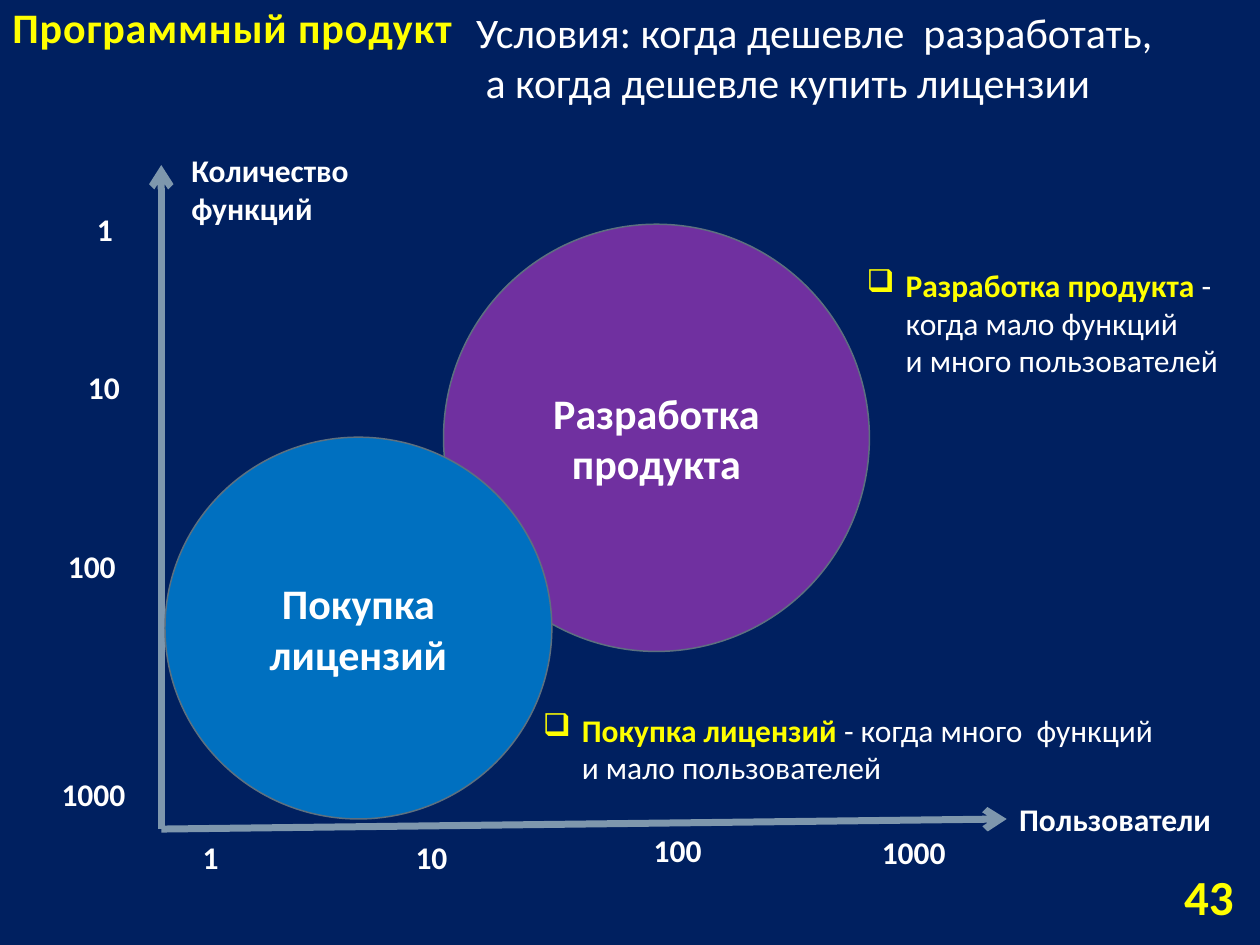
from pptx import Presentation
from pptx.dml.color import RGBColor
from pptx.enum.shapes import MSO_CONNECTOR, MSO_SHAPE
from pptx.enum.text import MSO_ANCHOR, MSO_AUTO_SIZE, PP_ALIGN
from pptx.oxml.ns import qn
from pptx.util import Emu, Pt
from lxml.etree import SubElement

PX = 9144  # EMU, 100 px to the inch
NAVY, WHITE, YELLOW = "002060", "FFFFFF", "FFFF00"
AXIS, OUTLINE, PURPLE, BLUE = "7E97AD", "5D7080", "7030A0", "0070C0"


def px(*lengths):
    return [Emu(length * PX) for length in lengths]


def color(value):
    return RGBColor.from_string(value)


class SlideBuilder:
    """Holds the text style and the slide being drawn."""

    style = {"name": "Calibri", "size": Pt(18), "bold": True}

    def __init__(self, presentation):
        self.slide = presentation.slides.add_slide(presentation.slide_layouts[6])
        background = self.slide.background.fill
        background.solid()
        background.fore_color.rgb = color(NAVY)

    def run(self, paragraph, text, fill=WHITE, spacing=None, **changes):
        """Add text to a paragraph; a vertical tab becomes a line break."""
        for index, line in enumerate(text.split("\v")):
            if index:
                paragraph.add_line_break()
            run = paragraph.add_run()
            run.text = line
            for name, value in {**self.style, **changes}.items():
                setattr(run.font, name, value)
            run.font.color.rgb = color(fill)
            if spacing:
                run.font._element.set("spc", str(spacing))

    def text(self, box, text, anchor=MSO_ANCHOR.TOP, align=PP_ALIGN.LEFT,
             grow=True, **changes):
        """Add a text box; each line of the text is a paragraph."""
        frame = self.slide.shapes.add_textbox(*px(*box)).text_frame
        frame.word_wrap = True
        frame.vertical_anchor = anchor
        if grow:
            frame.auto_size = MSO_AUTO_SIZE.SHAPE_TO_FIT_TEXT
        for index, line in enumerate(text.split("\n")):
            paragraph = frame.add_paragraph() if index else frame.paragraphs[0]
            paragraph.alignment = align
            if line:
                self.run(paragraph, line, **changes)
        return frame

    def bullet(self, box, term, explanation):
        paragraph = self.text(box, "").paragraphs[0]
        properties = paragraph._p.get_or_add_pPr()
        indent = 31 * PX
        properties.set("marL", str(indent))
        properties.set("indent", str(-indent))
        SubElement(properties, qn("a:buChar")).set("char", "❑")
        self.run(paragraph, term, fill=YELLOW)
        self.run(paragraph, explanation, bold=False)

    def circle(self, box, fill, text):
        shape = self.slide.shapes.add_shape(MSO_SHAPE.OVAL, *px(*box))
        shape.shadow.inherit = False
        shape.fill.solid()
        shape.fill.fore_color.rgb = color(fill)
        shape.line.color.rgb = color(OUTLINE)
        shape.line.width = Pt(0.85)
        frame = shape.text_frame
        frame.word_wrap = True
        frame.vertical_anchor = MSO_ANCHOR.MIDDLE
        frame.paragraphs[0].alignment = PP_ALIGN.CENTER
        self.run(frame.paragraphs[0], text, size=Pt(24))

    def arrow(self, start, end):
        connector = self.slide.shapes.add_connector(
            MSO_CONNECTOR.STRAIGHT, *px(*start, *end))
        connector.line.color.rgb = color(AXIS)
        connector.line.width = Pt(4)
        SubElement(connector.line._get_or_add_ln(), qn("a:tailEnd")).set("type", "arrow")
        SubElement(connector._element.spPr, qn("a:effectLst"))


def main():
    presentation = Presentation()
    presentation.slide_width, presentation.slide_height = px(1000, 750)
    builder = SlideBuilder(presentation)

    origin = (128, 658)
    for axis_end in [(128, 131), (799, 650)]:
        builder.arrow(origin, axis_end)
    builder.text((142, 115, 147, 71), "Количество\nфункций")
    builder.text((799, 630, 181, 40), "Пользователи")

    function_ticks = [(67, 162, 47, "1"), (60, 287, 47, "10"),
                      (44, 429, 74, "100"), (39, 610, 74, "1000")]
    user_ticks = [(151, 660, 47, "1"), (320, 660, 47, "10"),
                  (509, 655, 74, "100"), (690, 656, 74, "1000")]
    for left, top, width, label in function_ticks + user_ticks:
        builder.text((left, top, width, 40), label)

    builder.circle((352, 178, 338, 339), PURPLE, "Разработка продукта")
    builder.circle((131, 347, 307, 303), BLUE, "Покупка лицензий")

    builder.text((0, 0, 398, 46), "Программный продукт", anchor=MSO_ANCHOR.BOTTOM,
                 grow=False, fill=YELLOW, size=Pt(24), spacing=50)
    builder.text((902, 691, 87, 40), "43", anchor=MSO_ANCHOR.MIDDLE,
                 align=PP_ALIGN.RIGHT, grow=False, fill=YELLOW, size=Pt(28))
    builder.text((368, 0, 632, 91),
                 "Условия: когда дешевле  разработать,\v а когда дешевле купить лицензии",
                 size=Pt(24), bold=False)

    builder.bullet((678, 206, 320, 101), "Разработка продукта ",
                   "- когда мало функций \vи много пользователей")
    builder.bullet((421, 559, 516, 71), "Покупка лицензий ",
                   "- когда много  функций и мало пользователей")

    presentation.save("out.pptx")


if __name__ == "__main__":
    main()
